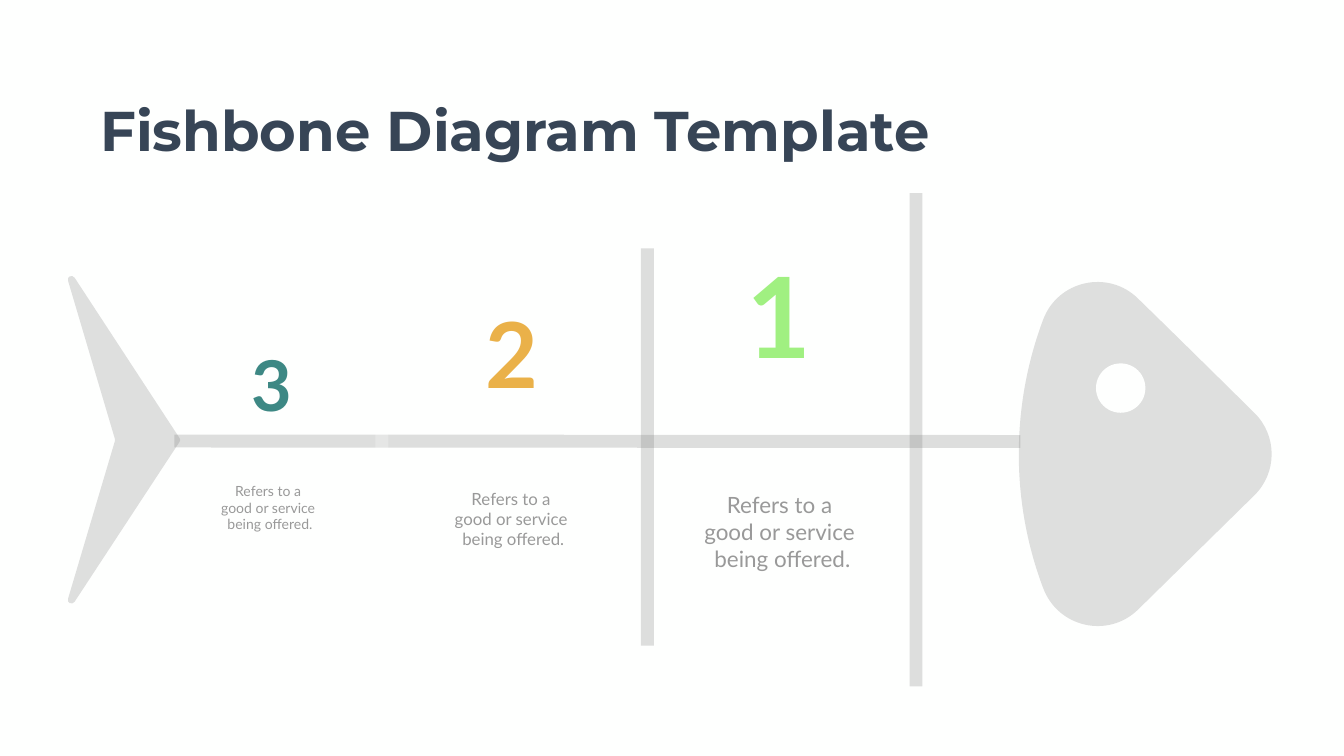
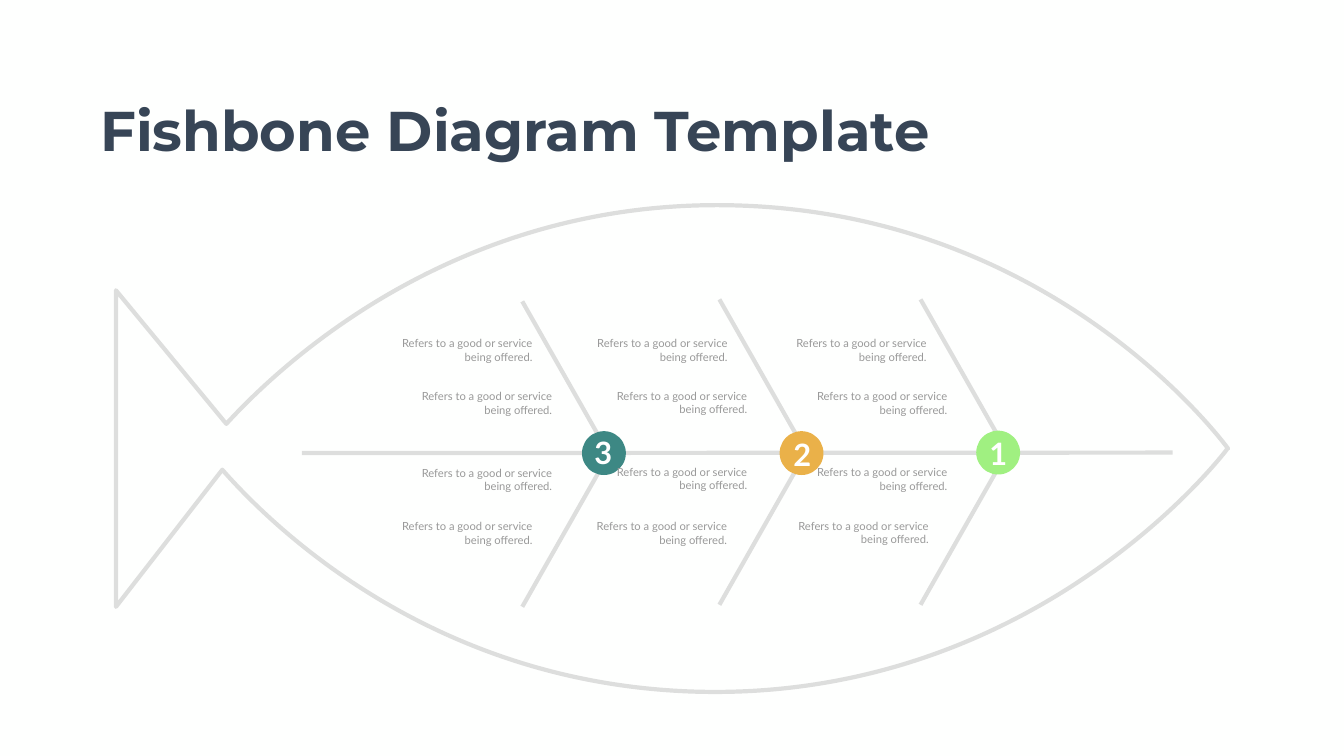
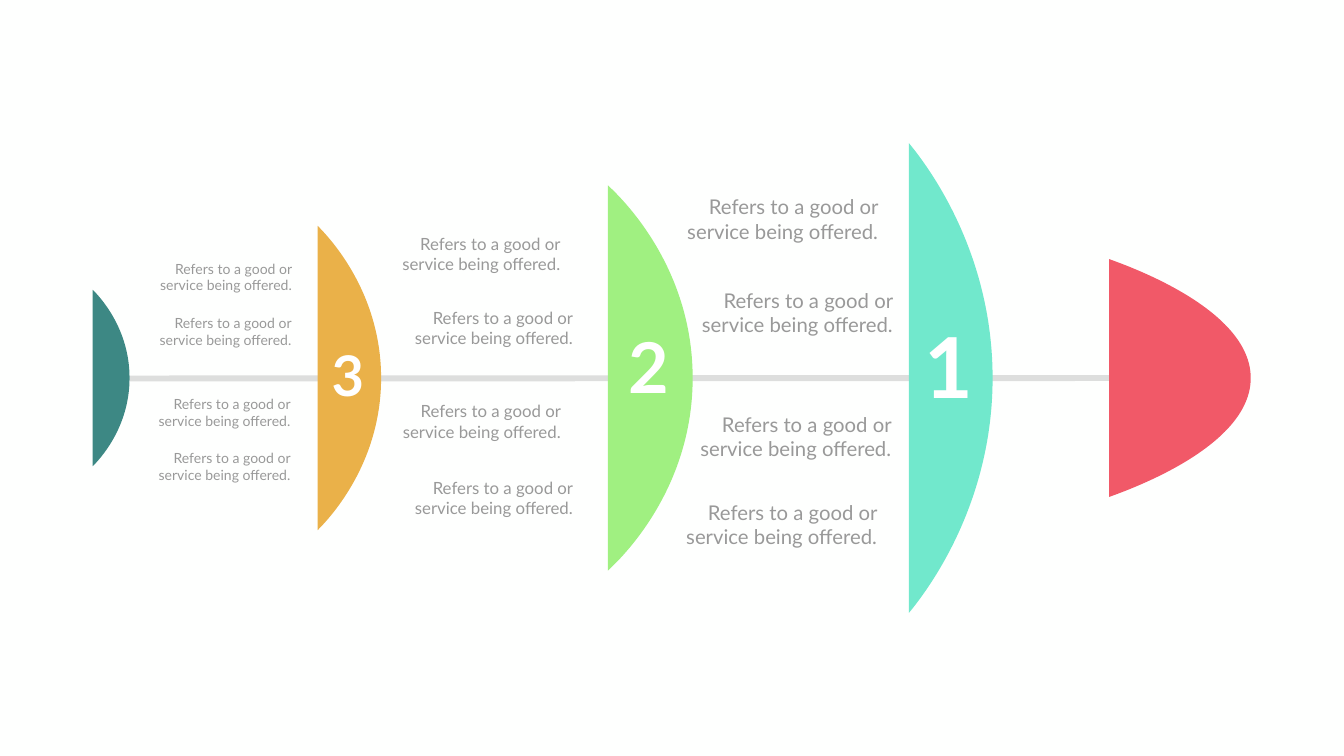
from lxml.etree import SubElement
from pptx import Presentation
from pptx.dml.color import RGBColor
from pptx.enum.shapes import MSO_CONNECTOR, MSO_SHAPE
from pptx.enum.text import MSO_AUTO_SIZE, PP_ALIGN
from pptx.oxml.ns import qn
from pptx.util import Inches, Pt

COLORS = {
    "background": "FEFFFE", "bone": "808080", "white": "FFFFFF",
    "title": "374556", "body": "999999", "green": "A0F081",
    "orange": "EAB149", "teal": "3D8884", "mint": "71E8CC", "red": "F15968",
}
BONE_ALPHA = 25
TITLE = "Fishbone Diagram Template"
CAPTION = "Refers to a good or service being offered."
CAPTION_LINES = "Refers to a \ngood or service \nbeing offered."


def bend(shape, parts):
    """Join the three segments of each 6-number part into one cubic curve."""
    path = next(shape._element.iter(qn("a:path")))
    segments = iter(path.findall(qn("a:lnTo")))
    for part in parts:
        first = next(segments)
        if len(part) == 6:
            first.tag = qn("a:cubicBezTo")
            for _ in range(2):
                segment = next(segments)
                first.append(segment[0])
                path.remove(segment)


class FishboneDeck:
    def __init__(self):
        self.presentation = Presentation()
        self.presentation.slide_width = Inches(26.66)
        self.presentation.slide_height = Inches(15)
        self.slide = None

    def add_slide(self):
        self.slide = self.presentation.slides.add_slide(self.presentation.slide_layouts[6])
        self.paint(self.slide.background.fill, "background")

    def title(self):
        self.text(TITLE, 1.89, 1.85, 16.71, 1.45, size=80, color="title",
                  font="Montserrat", bold=True, wrap=False)

    def paint(self, fill, color, alpha=100):
        fill.solid()
        fill.fore_color.rgb = RGBColor.from_string(COLORS[color])
        if alpha < 100:
            for element in fill._xPr.iter(qn("a:srgbClr")):
                SubElement(element, qn("a:alpha"), val=str(alpha * 1000))

    def stroke(self, line, width, color="bone"):
        line.width = Pt(width)
        self.paint(line.fill, color, BONE_ALPHA)

    def bone(self, start, end, width, color="bone"):
        connector = self.slide.shapes.add_connector(
            MSO_CONNECTOR.STRAIGHT, *(Inches(value) for value in (*start, *end)))
        self.stroke(connector.line, width, color)
        SubElement(connector._element.spPr, qn("a:effectLst"))

    def outline(self, path, fill=None, alpha=100, line_width=None, close=True):
        """Draw a path of points (x, y) and curves (x1, y1, x2, y2, x, y)."""
        points = [(Inches(part[i]), Inches(part[i + 1]))
                  for part in path for i in range(0, len(part), 2)]
        builder = self.slide.shapes.build_freeform(*points[0], scale=1.0)
        builder.add_line_segments(points[1:], close=close)
        shape = builder.convert_to_shape()
        bend(shape, path[1:])
        self.finish(shape, fill, alpha, line_width)

    def circle(self, center_x, center_y, diameter, fill):
        shape = self.slide.shapes.add_shape(
            MSO_SHAPE.OVAL, Inches(center_x - diameter / 2),
            Inches(center_y - diameter / 2), Inches(diameter), Inches(diameter))
        self.finish(shape, fill)

    def finish(self, shape, fill, alpha=100, line_width=None):
        shape.shadow.inherit = False
        if fill:
            self.paint(shape.fill, fill, alpha)
        else:
            shape.fill.background()
        if line_width:
            self.stroke(shape.line, line_width)
        else:
            shape.line.fill.background()

    def fin(self, left, half_height, depth, start_pull, shoulder, fill):
        """Flat-backed fin bulging right, mirrored about the spine."""
        spine = 7.5
        pull_x, pull_y = start_pull
        top, bottom, tip = spine - half_height, spine + half_height, left + depth
        self.outline([
            (left, top),
            (left + pull_x, top + pull_y, tip, spine - shoulder, tip, spine),
            (tip, spine + shoulder, left + pull_x, bottom - pull_y, left, bottom),
        ], fill=fill)

    def text(self, text, left, top, width, height, size, color="body", font="Lato",
             bold=False, align=PP_ALIGN.LEFT, wrap=True):
        box = self.slide.shapes.add_textbox(
            Inches(left), Inches(top), Inches(width), Inches(height))
        frame = box.text_frame
        frame.text = text
        frame.word_wrap = wrap
        frame.auto_size = MSO_AUTO_SIZE.SHAPE_TO_FIT_TEXT
        for paragraph in frame.paragraphs:
            paragraph.alignment = align
            for run in paragraph.runs:
                run.font.name = font
                run.font.size = Pt(size)
                run.font.bold = bold
                run.font.color.rgb = RGBColor.from_string(COLORS[color])

    def captions(self, corners, width, height, size):
        for left, top in corners:
            self.text(CAPTION, left, top, width, height, size=size, align=PP_ALIGN.RIGHT)


def build_open_skeleton(deck):
    deck.add_slide()
    deck.bone((20.24, 8.76), (3.46, 8.75), 18.5)
    head = [
        (22.58, 5.93), (23.35, 6.68, 24.11, 7.43, 24.88, 8.19),
        (25.34, 8.64, 25.34, 9.38, 24.88, 9.83), (22.58, 12.09),
        (21.98, 12.68, 20.98, 12.45, 20.69, 11.66),
        (20.43, 10.97, 20.22, 10.1, 20.21, 9.08),
        (20.2, 8, 20.42, 7.07, 20.69, 6.35),
        (20.98, 5.56, 21.99, 5.34, 22.58, 5.93),
    ]
    tail = [
        (1.35, 5.57), (2.28, 8.71), (2.28, 8.72, 2.28, 8.73, 2.28, 8.75),
        (1.35, 11.88), (1.32, 11.96, 1.43, 12.01, 1.48, 11.94),
        (3.56, 8.77), (3.58, 8.74, 3.58, 8.71, 3.56, 8.69),
        (1.48, 5.51), (1.43, 5.44, 1.32, 5.49, 1.35, 5.57),
    ]
    deck.outline(head, fill="bone", alpha=BONE_ALPHA)
    deck.circle(22.23, 7.7, 0.98, "background")
    deck.outline(tail, fill="bone", alpha=BONE_ALPHA)
    for start, end, color in (((18.17, 3.83), (18.17, 13.62), "bone"),
                              ((12.84, 4.93), (12.84, 12.81), "bone"),
                              ((7.57, 5.82), (7.58, 11.92), "white")):
        deck.bone(start, end, 18.5, color)
    for box, size in (((8.58, 9.64, 3.2, 1.31), 24),
                      ((13.71, 9.69, 3.62, 1.72), 32),
                      ((4.01, 9.52, 2.69, 1.11), 20)):
        deck.text(CAPTION_LINES, *box, size=size, align=PP_ALIGN.CENTER)
    for number, box, size, color in (("1", (14.7, 4.85, 1.76, 2.79), 160, "green"),
                                     ("2", (9.54, 5.85, 1.3, 2.31), 130, "orange"),
                                     ("3", (4.9, 6.72, 1.17, 1.78), 100, "teal")):
        deck.text(number, *box, size=size, color=color, bold=True)
    deck.title()


def build_outlined_fish(deck):
    deck.add_slide()
    deck.bone((23.26, 8.98), (5.99, 8.99), 6)
    for x, top in ((18.26, 5.94), (14.27, 5.94), (10.36, 5.98)):
        deck.outline([(x, top), (x + 1.72, top + 3.03), (x, top + 6.06)],
                     line_width=6, close=False)
    for x, y, color in ((19.8, 8.98, "green"), (15.9, 8.99, "orange"), (11.98, 8.99, "teal")):
        deck.circle(x, y, 0.87, color)
    body = [
        (24.36, 8.9), (24.04, 8.47, 20.77, 4.3, 14.73, 4.08),
        (9.19, 3.87, 5.65, 7.14, 4.49, 8.41), (2.3, 5.76), (2.3, 12.04),
        (4.41, 9.32), (5.44, 10.49, 8.57, 13.53, 13.7, 13.72),
        (20.36, 13.96, 24.13, 9.2, 24.35, 8.9),
    ]
    deck.outline(body, line_width=6)
    for corners in (((7.84, 6.63), (8.23, 7.68), (8.23, 9.2), (7.84, 10.26)),
                    ((11.71, 6.63), (12.1, 7.67), (12.1, 9.18), (11.7, 10.26)),
                    ((15.66, 6.63), (16.07, 7.68), (16.07, 9.19), (15.7, 10.25))):
        deck.captions(corners, 2.82, 0.64, 16)
    for number, box in (("3", (11.64, 8.56, 0.65, 0.7)), ("2", (15.59, 8.59, 0.65, 0.7)),
                        ("1", (19.51, 8.57, 0.59, 0.63))):
        deck.text(number, *box, size=44, color="white", bold=True, align=PP_ALIGN.CENTER)
    deck.title()


def build_finned_fish(deck):
    deck.add_slide()
    deck.bone((22.26, 7.5), (2.57, 7.51), 8.5)
    deck.fin(18.03, 4.66, 1.66, (0.38, 0.46), 2.5, "mint")
    deck.fin(12.06, 3.82, 1.68, (0.24, 0.22), 2.23, "green")
    deck.fin(6.3, 3.02, 1.26, (0.2, 0.2), 1.73, "orange")
    deck.fin(1.84, 1.75, 0.73, (0.12, 0.12), 1, "teal")
    deck.fin(22, 2.36, 2.81, (0.44, 0.16), 1.35, "red")
    deck.captions(((2.79, 5.11), (2.78, 6.2), (2.76, 7.8), (2.76, 8.87)), 3.1, 0.77, 20)
    deck.captions(((7.54, 4.58), (7.79, 6.05), (7.55, 7.91), (7.79, 9.42)), 3.67, 0.91, 24)
    deck.captions(((13.3, 3.81), (13.59, 5.66), (13.56, 8.12), (13.28, 9.87)), 4.22, 1.11, 29)
    for number, left, top, height, size in (("1", 18.25, 6.19, 2.12, 120),
                                            ("2", 12.37, 6.37, 1.78, 100),
                                            ("3", 6.48, 6.7, 1.45, 80)):
        deck.text(number, left, top, 1.67, height, size=size, color="white", bold=True)


def main():
    deck = FishboneDeck()
    build_open_skeleton(deck)
    build_outlined_fish(deck)
    build_finned_fish(deck)
    deck.presentation.save("out.pptx")


if __name__ == "__main__":
    main()
